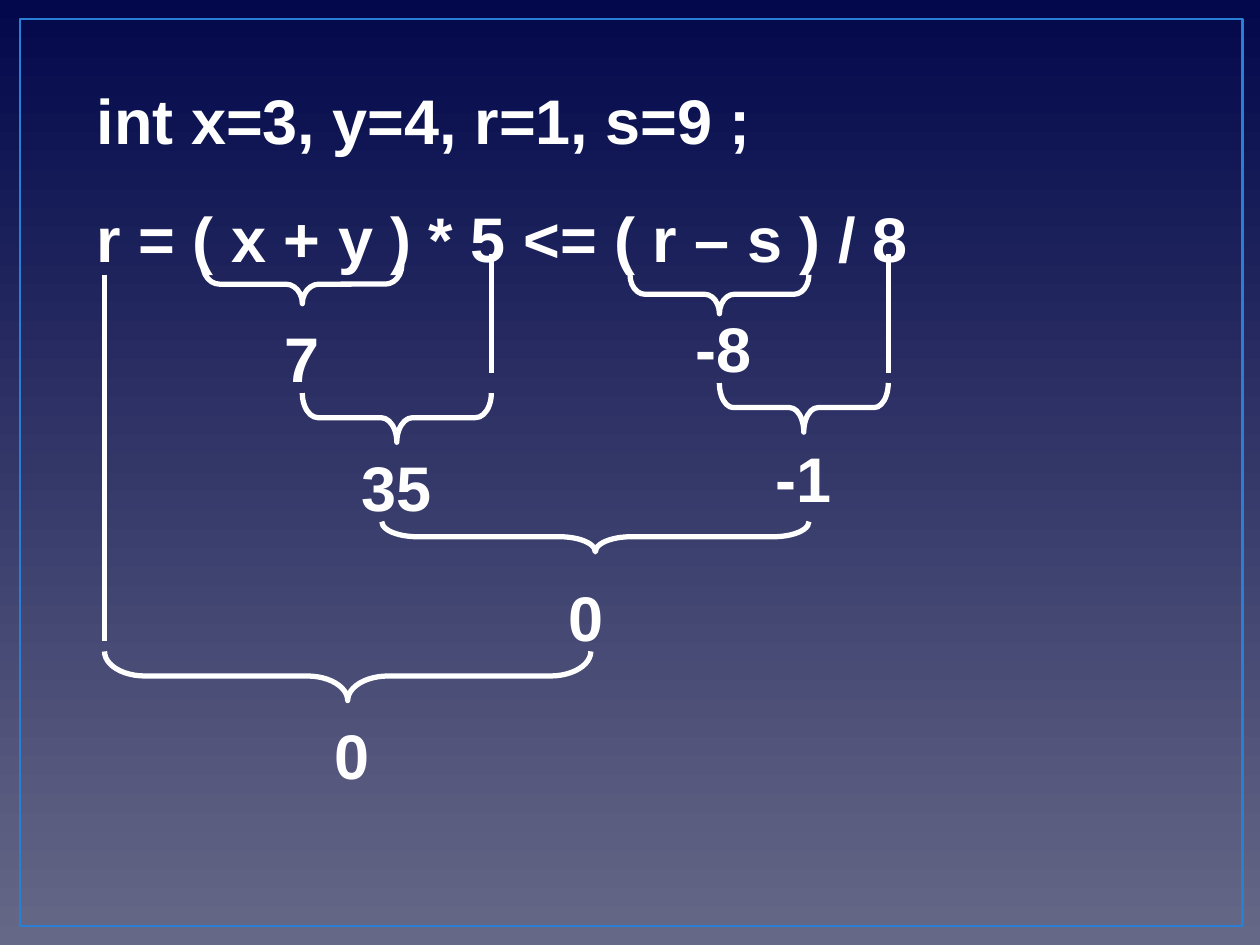
from dataclasses import dataclass
from pptx import Presentation
from pptx.dml.color import RGBColor as Rgb
from pptx.enum.shapes import MSO_CONNECTOR as Link, MSO_SHAPE as Shape
from pptx.enum.text import MSO_ANCHOR as Anchor, PP_ALIGN as Align
from pptx.oxml.ns import qn
from pptx.util import Inches, Pt


@dataclass(frozen=True)
class Theme:
    white: Rgb = Rgb.from_string("FFFFFF")
    blue: Rgb = Rgb.from_string("297FD5")
    low: Rgb = Rgb.from_string("666887")
    high: Rgb = Rgb.from_string("02084B")
    font: str = "Arial"
    size: int = 36
    thick: float = 3
    thin: float = 1.5


def apply(item, form):
    for name, value in form.items():
        setattr(item, name, value)


class Board:
    def __init__(self, slide, theme):
        self.slide, self.theme = slide, theme

    def fade(self):
        fill = self.slide.background.fill
        fill.gradient()
        fill.gradient_angle = 90
        shades = (self.theme.low, self.theme.high)
        for pos, (stop, shade) in enumerate(zip(fill.gradient_stops, shades)):
            stop.position = pos
            stop.color.rgb = shade

    def shape(self, kind, box, color, width):
        part = self.slide.shapes.add_shape(kind, *map(Inches, box))
        part.shadow.inherit = False
        part.fill.background()
        part.line.color.rgb = color
        part.line.width = Pt(width)
        return part

    def frame(self, *box):
        self.shape(Shape.RECTANGLE, box, self.theme.blue, self.theme.thin)

    def brace(self, left, right, top, depth):
        # A left brace turned so that its tip points down
        span = right - left
        box = ((left + right - depth) / 2, top + (depth - span) / 2, depth, span)
        part = self.shape(Shape.LEFT_BRACE, box, self.theme.white, self.theme.thick)
        part.rotation = 270
        part.adjustments[0] = span / 12 / depth

    def drop(self, x, top, end):
        line = self.slide.shapes.add_connector(
            Link.STRAIGHT, *map(Inches, (x, top, x, end)))
        line.line.color.rgb = self.theme.white
        line.line.width = Pt(self.theme.thick)
        props = line._element.spPr
        props.append(props.makeelement(qn("a:effectLst"), {}))

    def text(self, lines, box, align=Align.CENTER, gap=0):
        frame = self.slide.shapes.add_textbox(*map(Inches, box)).text_frame
        apply(frame, {"word_wrap": True, "vertical_anchor": Anchor.TOP})
        for i, words in enumerate(lines):
            para = frame.add_paragraph() if i else frame.paragraphs[0]
            apply(para, {"alignment": align, "space_before": Pt(gap if i else 0)})
            run = para.add_run()
            run.text = words
            apply(run.font, {"name": self.theme.font, "bold": True,
                             "size": Pt(self.theme.size)})
            run.font.color.rgb = self.theme.white


def main():
    deck = Presentation()
    apply(deck, {"slide_width": Inches(10), "slide_height": Inches(7.5)})
    board = Board(deck.slides.add_slide(deck.slide_layouts[6]), Theme())

    # Background and border
    board.fade()
    board.frame(0.16, 0.15, 9.7, 7.2)

    # Declaration and expression
    board.text(["int x=3, y=4, r=1, s=9 ;", "r = ( x + y ) * 5 <= ( r – s ) / 8"],
               (0.67, 0.6, 6.78, 1.62), Align.LEFT, 24.3)

    # Braces: left, right, top, depth
    for brace in [(1.61, 3.19, 2.1, 0.31), (2.4, 3.9, 3.12, 0.39),
                  (5, 6.42, 2.18, 0.31), (5.71, 7.05, 3.04, 0.39),
                  (3.03, 6.42, 4.14, 0.24), (0.83, 4.69, 5.17, 0.39)]:
        board.brace(*brace)

    # Operands carried down: x, top, end
    for drop in [(3.9, 2.02, 2.96), (7.05, 2.02, 2.96), (0.83, 2.18, 5.09)]:
        board.drop(*drop)

    # Results: value, left, top, width
    for value, left, top, width in [
            ("7", 2.16, 2.49, 0.48), ("35", 2.56, 3.51, 1.18),
            ("-8", 5.31, 2.41, 0.87), ("-1", 5.94, 3.44, 0.87),
            ("0", 4.22, 4.54, 0.87), ("0", 2.55, 5.64, 0.48)]:
        board.text([value], (left, top, width, 0.7))

    deck.save("out.pptx")


if __name__ == "__main__":
    main()
